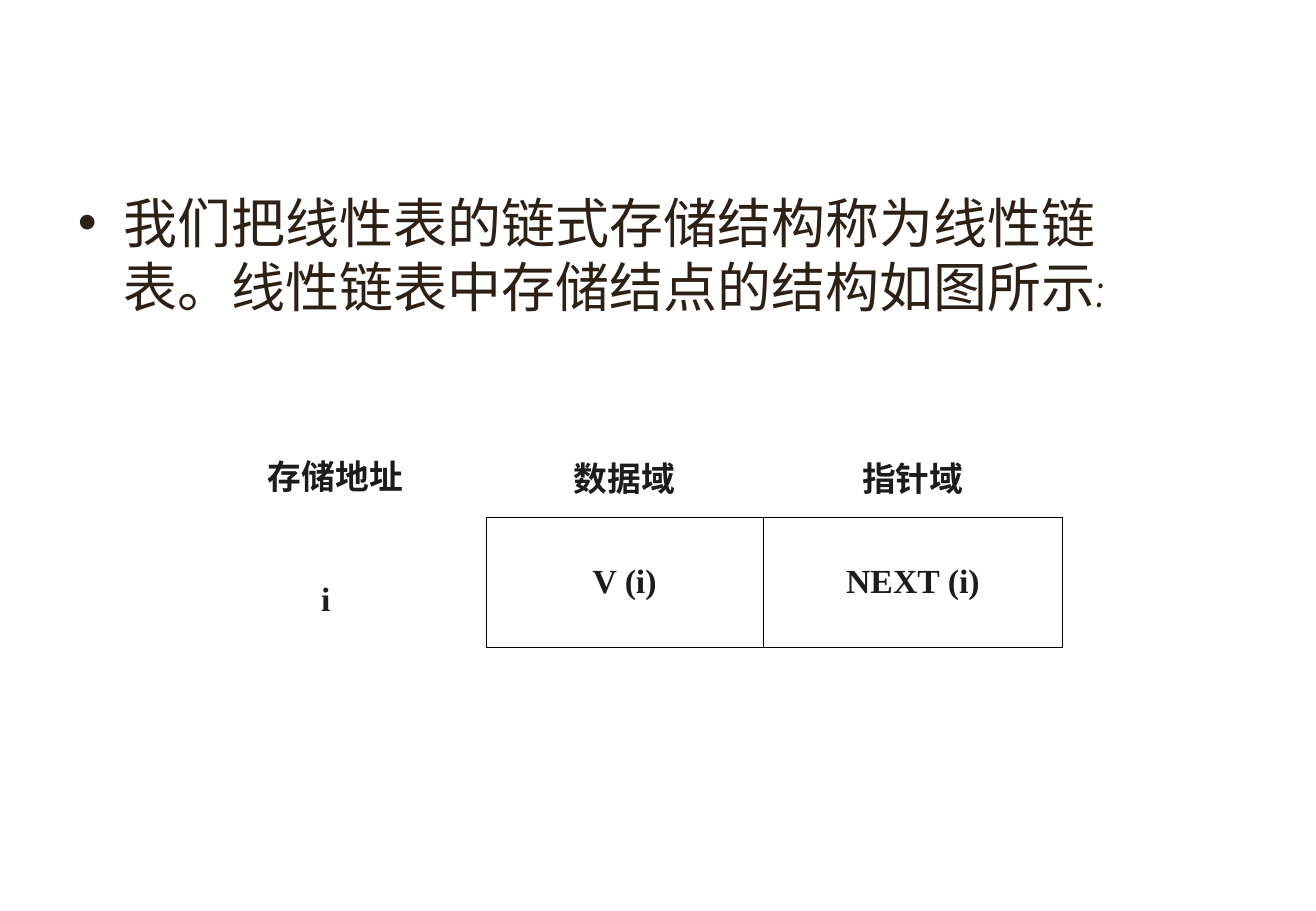
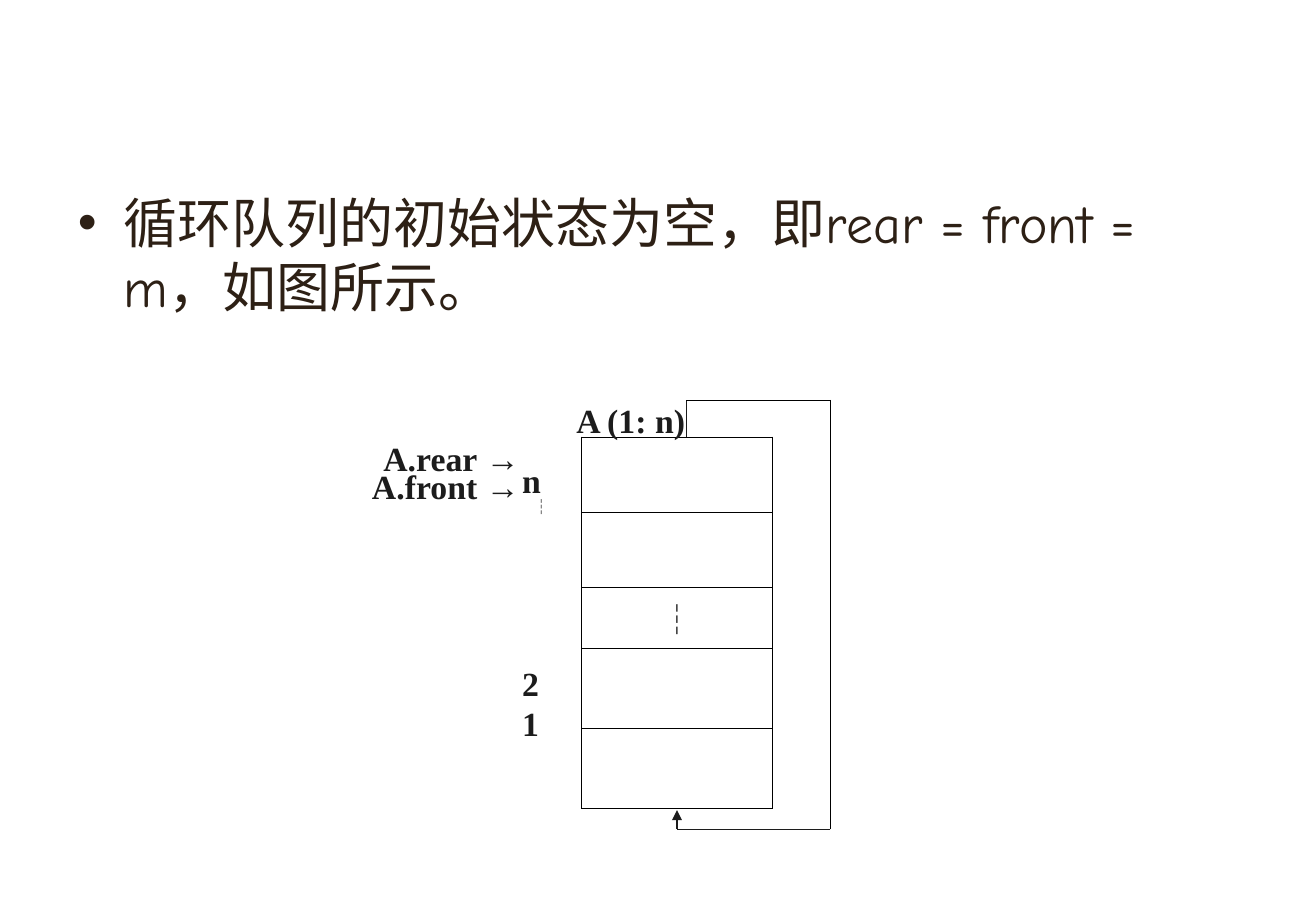
import pptx
import pptx.dml.color
import pptx.enum.shapes
import pptx.enum.text
import pptx.oxml.ns
import pptx.util
from itertools import pairwise
from lxml import etree

Pt = pptx.util.Pt
Align = pptx.enum.text.PP_ALIGN
Anchor = pptx.enum.text.MSO_ANCHOR

SERIF = "Times New Roman"
CJK = "Noto Sans CJK SC"
BODY_FONT = "Comic Neue"
BROWN = "2D2015"
INK = "1C1C1C"
BLACK = "000000"
WHITE = "FFFFFF"


def rgb(value):
    return pptx.dml.color.RGBColor.from_string(value)


def add_element(parent, tag, **attributes):
    return etree.SubElement(parent, pptx.oxml.ns.qn(tag), attributes)


def add_span(para, text, size=20, bold=True, font=SERIF, east_font=CJK, color=INK):
    span = para.add_run()
    span.text = text
    span.font.size = Pt(size)
    span.font.bold = bold
    span.font.name = font
    span.font.color.rgb = rgb(color)
    add_element(span.font._element, "a:ea", typeface=east_font)


def add_bullet_slide(deck, text, height):
    """Add a slide without a title whose body holds one bullet."""
    slide = deck.slides.add_slide(deck.slide_layouts[1])
    title, body = slide.placeholders
    title.element.getparent().remove(title.element)
    body.left, body.top = Pt(39), Pt(108.5)
    body.width, body.height = Pt(663), Pt(height)
    body.text_frame.auto_size = pptx.enum.text.MSO_AUTO_SIZE.NONE
    para = body.text_frame.paragraphs[0]
    para.space_before = Pt(8)
    para._p.get_or_add_pPr().set("hangingPunct", "0")
    add_span(para, text, 32, False, BODY_FONT, BODY_FONT, BROWN)
    return slide


def add_label(slide, left, top, width, text, align=Align.LEFT, **style):
    box = slide.shapes.add_textbox(Pt(left), Pt(top), Pt(width), Pt(24))
    frame = box.text_frame
    frame.word_wrap = True
    frame.margin_left = frame.margin_right = 0
    frame.margin_top = frame.margin_bottom = 0
    para = frame.paragraphs[0]
    para.alignment = align
    add_span(para, text, **style)
    return para


def set_borders(cell, colors):
    """Draw the borders named in colors, which maps L, R, T, B to a colour."""
    properties = cell._tc.get_or_add_tcPr()
    for side, color in colors.items():
        line = add_element(properties, f"a:ln{side}", w=str(Pt(0.45)))
        fill = add_element(line, "a:solidFill")
        add_element(fill, "a:srgbClr", val=color)


def add_grid(slide, left, top, widths, heights, texts, plain_header=False, **style):
    """Add a ruled table; texts maps (row, column) to the cell's words."""
    frame = slide.shapes.add_table(
        len(heights), len(widths), Pt(left), Pt(top), Pt(sum(widths)), Pt(sum(heights)))
    table = frame.table
    table.first_row = table.horz_banding = False
    for column, width in zip(table.columns, widths):
        column.width = Pt(width)
    for row_index, height in enumerate(heights):
        table.rows[row_index].height = Pt(height)
        for column_index in range(len(widths)):
            cell = table.cell(row_index, column_index)
            colors = dict.fromkeys("LRTB", BLACK)
            if plain_header and row_index == 0:
                colors.update(dict.fromkeys("LRT", WHITE))
            set_borders(cell, colors)
            cell.fill.background()
            cell.vertical_anchor = Anchor.MIDDLE
            text = texts.get((row_index, column_index))
            if text:
                para = cell.text_frame.paragraphs[0]
                para.alignment = Align.CENTER
                add_span(para, text, **style)


def add_route(slide, points, color=INK, width=0.75, arrow=False):
    """Join the points by straight lines, with an arrowhead at the last one."""
    for start, end in pairwise(points):
        line = slide.shapes.add_connector(
            pptx.enum.shapes.MSO_CONNECTOR.STRAIGHT, *map(Pt, start + end))
        line.line.color.rgb = rgb(color)
        line.line.width = Pt(width)
        add_element(line._element.spPr, "a:effectLst")
    if arrow:
        add_element(line.line._get_or_add_ln(), "a:tailEnd", type="triangle")


def build_node_slide(deck):
    slide = add_bullet_slide(
        deck, "我们把线性表的链式存储结构称为线性链表。线性链表中存储结点的结构如图所示:", 105)
    add_label(slide, 158.8, 270.2, 120, "存储地址")
    add_label(slide, 190.5, 342.4, 40, "i")
    texts = {(0, 0): "数据域", (0, 1): "指针域", (1, 0): "V (i)", (1, 1): "NEXT (i)"}
    add_grid(slide, 288.2, 259, [164.5, 177.5], [47.5, 77], texts, plain_header=True)


def build_queue_slide(deck):
    slide = add_bullet_slide(
        deck, "循环队列的初始状态为空，即rear = front = m，如图所示。", 117)
    dots = {"bold": False, "font": CJK}
    left, top, width = 345, 259, 113
    heights = [44.5, 44.5, 36.2, 47.5, 47.5]
    add_grid(slide, left, top, [width], heights, {(2, 0): "┆"}, **dots)

    add_label(slide, 335.8, 236.8, 76.5, "A (1: n)", Align.CENTER)
    for label_top, text in [(272.3, "n"), (392.8, "2"), (416.3, "1")]:
        add_label(slide, 309.6, label_top, 29, text)
    add_label(slide, 316, 294.2, 20, "┆", size=10, **dots)
    rear = add_label(slide, 219.6, 259.3, 88.6, "A.rear", Align.RIGHT)
    add_span(rear, " →", bold=False)
    add_label(slide, 219.6, 275.8, 88.6, "A.front →", Align.RIGHT)

    stub, right, middle = 407, 492.5, left + width / 2
    upper, lower = 237, 491.5
    add_route(slide, [(stub, top), (stub, upper)])
    add_route(slide, [(stub, upper), (right, upper), (right, lower)], BLACK, 0.25)
    add_route(slide, [(right, lower), (middle, lower), (middle, top + sum(heights) + 1)],
              arrow=True)


def main():
    deck = pptx.Presentation()
    deck.slide_width, deck.slide_height = Pt(780.48), Pt(540)
    build_node_slide(deck)
    build_queue_slide(deck)
    deck.save("out.pptx")


if __name__ == "__main__":
    main()
